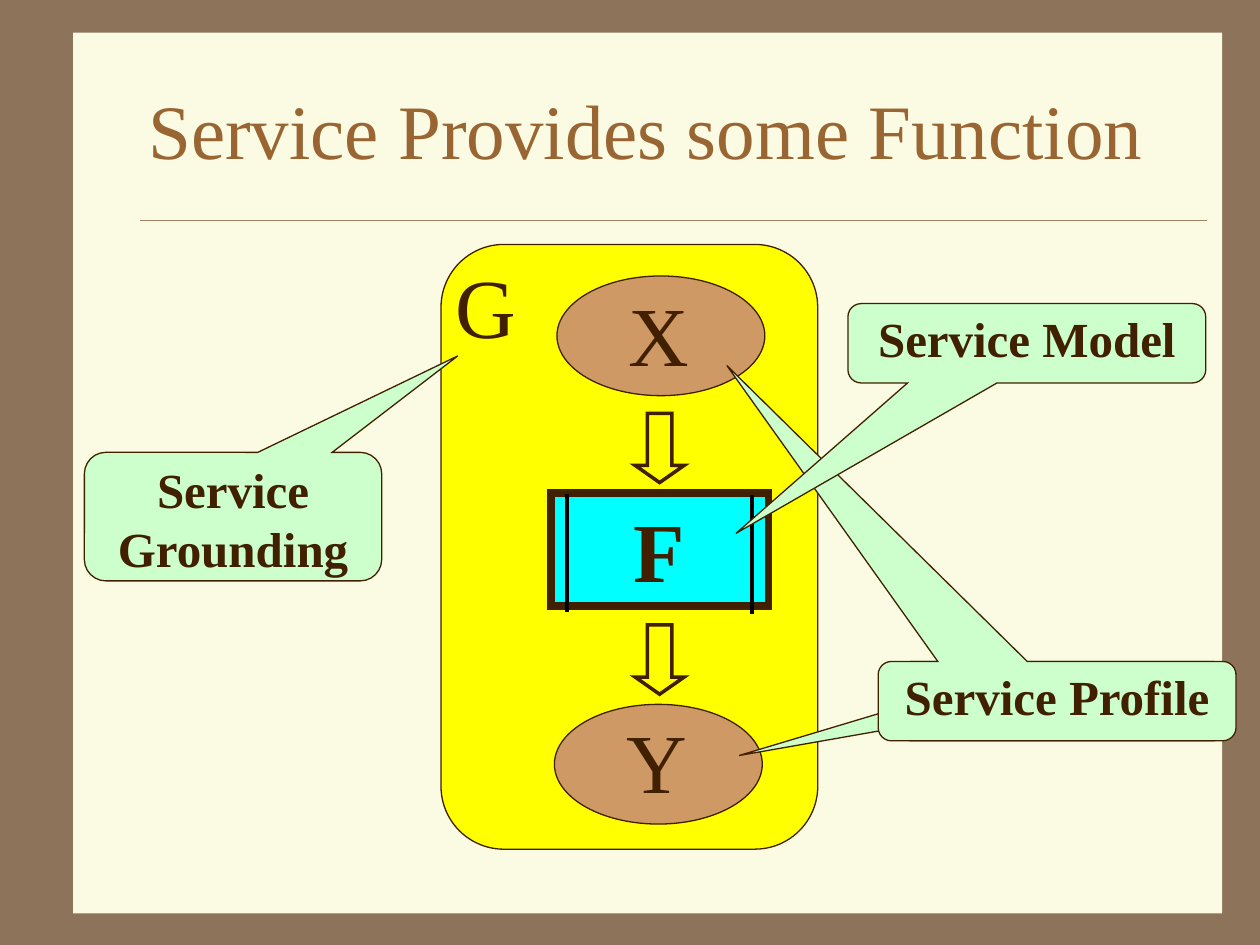
from dataclasses import dataclass

from lxml.etree import SubElement
from pptx import Presentation
from pptx.dml.color import RGBColor
from pptx.enum.shapes import MSO_CONNECTOR as Connector, MSO_SHAPE as Shape
from pptx.enum.text import MSO_ANCHOR as Anchor, PP_ALIGN as Align
from pptx.oxml.ns import qn
from pptx.util import Inches, Pt


@dataclass(frozen=True)
class Theme:
    """Colours, font and type sizes of the slide."""
    frame: str = "8C735A"
    paper: str = "FBFAE2"
    title: str = "996633"
    rule: str = "A08366"
    ink: str = "402000"
    bar: str = "000000"
    ground: str = "FFFF00"
    function: str = "00FFFF"
    data: str = "CE9964"
    callout: str = "CCFFCC"
    font: str = "Times New Roman"
    title_size: float = 44
    symbol_size: float = 48
    callout_size: float = 28
    thin: float = 0.75
    medium: float = 2
    thick: float = 4.5


@dataclass(frozen=True)
class Box:
    """Position and size in inches."""
    left: float
    top: float
    width: float
    height: float

    def lengths(self) -> list:
        """Return the four measures as slide lengths."""
        return [Inches(v) for v in (self.left, self.top, self.width, self.height)]


@dataclass(frozen=True)
class Callout:
    """A speech bubble with its pointer offset."""
    text: str
    box: Box
    pointer: tuple[float, float]


THEME = Theme()
CORNER = 0.167
DATA_NODES = (
    (Box(4.42, 2.19, 1.65, 0.95), "X", Box(4.89, 2.19, 0.68, 0.9)),
    (Box(4.4, 5.59, 1.65, 0.95), "Y", Box(4.87, 5.58, 0.68, 0.9)),
)
FUNCTION_BARS = ((5.97, 3.93), (4.5, 3.92))
BAR_HEIGHT = 0.94
ARROW_TOPS = (3.28, 4.96)
CALLOUTS = (
    Callout("", Box(7.13, 5.25, 2.6, 0.63), (-0.986, 0.685)),
    Callout("Service Profile", Box(6.97, 5.25, 2.84, 0.63), (-0.923, -4.229)),
    Callout("Service Model", Box(6.73, 2.41, 2.84, 0.63), (-0.813, 2.395)),
    Callout("Service Grounding", Box(0.67, 3.59, 2.36, 1.02), (0.756, -1.251)),
)


def draw_shape(page, kind, box: Box, fill: str | None, width: float | None = THEME.thin,
               adjustments: tuple[float, ...] = ()):
    """Draw a preset shape with optional fill and sharp-cornered outline."""
    shape = page.shapes.add_shape(kind, *box.lengths())
    shape.shadow.inherit = False
    for index, value in enumerate(adjustments):
        shape.adjustments[index] = value
    if fill:
        shape.fill.solid()
        shape.fill.fore_color.rgb = RGBColor.from_string(fill)
    else:
        shape.fill.background()
    if width:
        shape.line.color.rgb = RGBColor.from_string(THEME.ink)
        shape.line.width = Pt(width)
        outline = shape.element.spPr.find(qn("a:ln"))
        SubElement(outline, qn("a:miter"), lim="800000")
    else:
        shape.line.fill.background()
    return shape


def draw_line(page, start: tuple[float, float], end: tuple[float, float],
              color: str, width: float) -> None:
    """Draw a straight line without a shadow."""
    points = [Inches(v) for v in (*start, *end)]
    line = page.shapes.add_connector(Connector.STRAIGHT, *points)
    line.line.color.rgb = RGBColor.from_string(color)
    line.line.width = Pt(width)
    SubElement(line.element.spPr, qn("a:effectLst"))


def write_text(shape, text: str, size: float, color: str = THEME.ink, bold: bool = False,
               align=Align.CENTER, anchor=Anchor.TOP, wrap: bool = True,
               insets: tuple[float, float] = (0.1, 0.05)) -> None:
    """Write one paragraph into a shape."""
    frame = shape.text_frame
    frame.word_wrap = wrap
    frame.vertical_anchor = anchor
    frame.margin_left = frame.margin_right = Inches(insets[0])
    frame.margin_top = frame.margin_bottom = Inches(insets[1])
    para = frame.paragraphs[0]
    para.text = text
    para.alignment = align
    para.font.name = THEME.font
    para.font.size = Pt(size)
    para.font.bold = bold
    para.font.color.rgb = RGBColor.from_string(color)


def draw_symbol(page, text: str, box: Box) -> None:
    """Draw a large letter in its own text box."""
    label = page.shapes.add_textbox(*box.lengths())
    write_text(label, text, THEME.symbol_size, align=Align.LEFT, wrap=False)


def draw_callout(page, callout: Callout) -> None:
    """Draw a callout and its wording, if any."""
    shape = draw_shape(page, Shape.ROUNDED_RECTANGULAR_CALLOUT, callout.box, THEME.callout,
                       adjustments=(*callout.pointer, CORNER))
    if callout.text:
        write_text(shape, callout.text, THEME.callout_size, bold=True, insets=(0.04, 0.01))


def draw_header(page) -> None:
    """Draw the paper, the rule and the title."""
    draw_shape(page, Shape.RECTANGLE, Box(0.58, 0.26, 9.12, 6.99), THEME.paper, None)
    draw_line(page, (1.11, 1.75), (9.58, 1.75), THEME.rule, 0.25)
    title = page.shapes.add_textbox(*Box(1.08, 0.5, 8.5, 1.05).lengths())
    write_text(title, "Service Provides some Function", THEME.title_size, THEME.title,
               align=Align.LEFT, anchor=Anchor.MIDDLE)


def draw_service(page) -> None:
    """Draw the service with its input, function and output."""
    draw_shape(page, Shape.ROUNDED_RECTANGLE, Box(3.5, 1.94, 2.99, 4.8), THEME.ground,
               adjustments=(CORNER,))
    function = draw_shape(page, Shape.RECTANGLE, Box(4.37, 3.91, 1.73, 0.9),
                          THEME.function, THEME.thick)
    write_text(function, "F", THEME.symbol_size, bold=True)
    for oval, letter, label in DATA_NODES:
        draw_shape(page, Shape.OVAL, oval, THEME.data)
        draw_symbol(page, letter, label)
    for left, top in FUNCTION_BARS:
        draw_line(page, (left, top), (left, top + BAR_HEIGHT), THEME.bar, THEME.medium)
    for top in ARROW_TOPS:
        draw_shape(page, Shape.DOWN_ARROW, Box(5.04, top, 0.39, 0.55), None,
                   THEME.medium, (0.5, 0.35))
    draw_symbol(page, "G", Box(3.52, 1.97, 0.68, 0.9))


def main() -> None:
    """Build and save the slide."""
    deck = Presentation()
    deck.slide_width, deck.slide_height = Inches(10), Inches(7.5)
    page = deck.slides.add_slide(deck.slide_layouts[6])
    page.background.fill.solid()
    page.background.fill.fore_color.rgb = RGBColor.from_string(THEME.frame)
    draw_header(page)
    draw_service(page)
    for callout in CALLOUTS:
        draw_callout(page, callout)
    deck.save("out.pptx")


if __name__ == "__main__":
    main()
